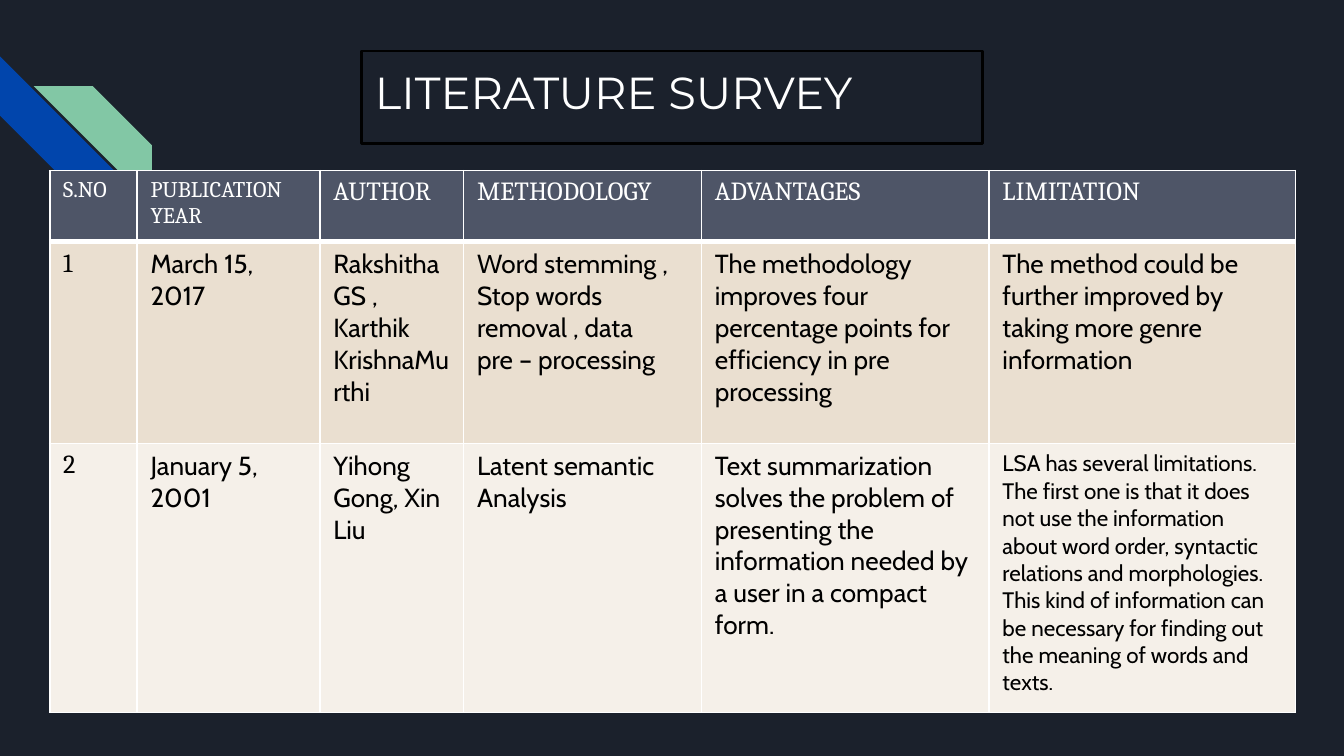
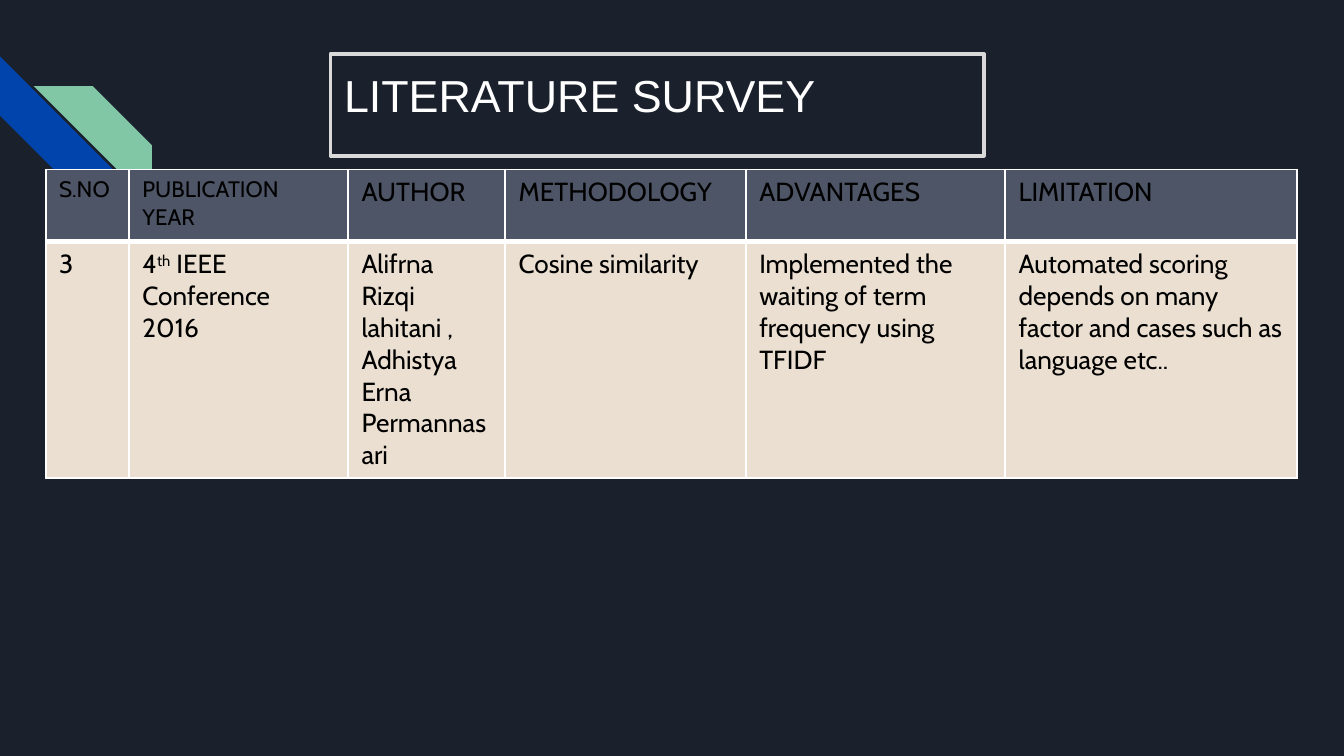
from lxml import etree
from pptx import Presentation, util as u
from pptx.dml.color import RGBColor
from pptx.enum import shapes, text
from pptx.oxml.ns import qn

# Content: "|" parts paragraphs, "^" encloses a superscript
HEADERS = ["S.NO", "PUBLICATION YEAR", "AUTHOR", "METHODOLOGY", "ADVANTAGES", "LIMITATION"]
SURVEYS = [
    dict(
        title="LITERATURE SURVEY", title_font="Montserrat", title_box=(2.69, 0.38, 4.62, 0.69),
        title_fill=None, title_line=("000000", 1.5),
        header_font="Cambria", header_color="FFFFFF", number_font="Cambria",
        origin=(0.37, 1.27), cols=(0.65, 1.36, 1.07, 1.77, 2.14, 2.28), heights=(0.53, 1.5, 2),
        rows=[
            ["1", "March 15,|2017", "Rakshitha GS , Karthik KrishnaMurthi",
             "Word stemming ,|Stop words removal , data|pre – processing",
             "The methodology improves four percentage points for efficiency in pre processing",
             "The method could be further improved by taking more genre information"],
            ["2", "January 5, 2001", "Yihong Gong, Xin Liu", "Latent semantic Analysis",
             "Text summarization solves the problem of presenting the information needed "
             "by a user in a compact form.",
             "LSA has several limitations. The first one is that it does not use the information "
             "about word order, syntactic relations and morphologies. This kind of information "
             "can be necessary for finding out the meaning of words and texts."],
        ],
    ),
    dict(
        title="LITERATURE SURVEY", title_font="Arial", title_box=(2.46, 0.4, 4.86, 0.76),
        title_fill="1B212C", title_line=("D9D9D9", 2),
        header_font="Cabin", header_color="000000", number_font="Cabin",
        origin=(0.34, 1.26), cols=(0.62, 1.63, 1.17, 1.79, 1.93, 2.17), heights=(0.54, 1.67),
        rows=[
            ["3", "4^th^ IEEE|Conference|2016",
             "Alifrna Rizqi lahitani ,|Adhistya Erna Permannasari", "Cosine similarity",
             "Implemented the waiting of term frequency using TFIDF",
             "Automated scoring depends on many factor and cases such as language etc.."],
        ],
    ),
]


class Theme:
    background, blue, green = "1B212C", "0145AC", "82C7A5"
    header, bands = "4E5567", ("EADFD0", "F5F0E9")
    white, ink = "FFFFFF", "000000"
    body_font = "Cabin"
    title_size, body_size, small_size = 24, 14, 12
    long_text = 150  # cells longer than this use the small size
    rule, header_rule = 1, 3


def rgb(value):
    return RGBColor.from_string(value)


def paint(fill, color):
    fill.solid()
    fill.fore_color.rgb = rgb(color)


def write(tf, content, font, size, color):
    for i, line in enumerate(content.split("|")):
        p = tf.paragraphs[0] if i == 0 else tf.add_paragraph()
        p.alignment = text.PP_ALIGN.LEFT
        for j, part in enumerate(line.split("^")):
            r = p.add_run()
            r.text = part
            r.font.name, r.font.size, r.font.bold = font, u.Pt(size), False
            r.font.color.rgb = rgb(color)
            if j % 2:
                r.font._element.set("baseline", "30000")


def add_corner(s):
    # Diagonal stripes in the top left corner
    for left, top, color, turn, flip in ((0, 0.42, Theme.blue, 270, False),
                                         (0.25, 0.64, Theme.green, 0, True)):
        sp = s.shapes.add_shape(shapes.MSO_SHAPE.DIAGONAL_STRIPE,
                                *map(u.Inches, (left, top, 0.88, 0.88)))
        sp.shadow.inherit = False
        sp.rotation = turn
        sp.line.fill.background()
        paint(sp.fill, color)
        if flip:
            sp._element.spPr.find(qn("a:xfrm")).set("flipH", "1")


def add_title(s, survey):
    sp = s.shapes.title
    sp.left, sp.top, sp.width, sp.height = map(u.Inches, survey["title_box"])
    if survey["title_fill"]:
        paint(sp.fill, survey["title_fill"])
    color, width = survey["title_line"]
    sp.line.color.rgb, sp.line.width = rgb(color), u.Pt(width)
    tf = sp.text_frame
    tf.word_wrap, tf.auto_size = True, text.MSO_AUTO_SIZE.NONE
    tf.vertical_anchor = text.MSO_ANCHOR.TOP
    tf.margin_left = tf.margin_right = tf.margin_top = tf.margin_bottom = u.Inches(0.1)
    write(tf, survey["title"], survey["title_font"], Theme.title_size, Theme.white)


def set_borders(cell, top, bottom):
    tc_pr = cell._tc.get_or_add_tcPr()
    for side, width in zip("LRTB", (Theme.rule, Theme.rule, top, bottom)):
        ln = etree.SubElement(tc_pr, qn("a:ln" + side), w=str(u.Pt(width)))
        solid = etree.SubElement(ln, qn("a:solidFill"))
        etree.SubElement(solid, qn("a:srgbClr"), val=Theme.white)


def add_survey_table(s, survey):
    rows = [HEADERS] + survey["rows"]
    cols, heights = survey["cols"], survey["heights"]
    box = (*survey["origin"], sum(cols), sum(heights))
    table = s.shapes.add_table(len(rows), len(cols), *map(u.Inches, box)).table
    for column, width in zip(table.columns, cols):
        column.width = u.Inches(width)
    for i, (row, height) in enumerate(zip(rows, heights)):
        table.rows[i].height = u.Inches(height)
        for j, content in enumerate(row):
            cell = table.cell(i, j)
            cell.margin_left = cell.margin_right = u.Inches(0.1)
            cell.margin_top = cell.margin_bottom = u.Inches(0.05)
            set_borders(cell, Theme.header_rule if i == 1 else Theme.rule,
                        Theme.header_rule if i == 0 else Theme.rule)
            if i == 0:
                fill, color, font = Theme.header, survey["header_color"], survey["header_font"]
                small = j < 2
            else:
                fill, color = Theme.bands[(i - 1) % 2], Theme.ink
                font = survey["number_font"] if j == 0 else Theme.body_font
                small = len(content) > Theme.long_text
            paint(cell.fill, fill)
            size = Theme.small_size if small else Theme.body_size
            write(cell.text_frame, content, font, size, color)


def main():
    prs = Presentation()
    # Widescreen, 16:9
    prs.slide_width = u.Inches(10)
    prs.slide_height = prs.slide_width * 9 // 16
    paint(prs.slide_master.background.fill, Theme.background)
    for survey in SURVEYS:
        s = prs.slides.add_slide(prs.slide_layouts[5])
        add_corner(s)
        add_title(s, survey)
        add_survey_table(s, survey)
    prs.save("out.pptx")


if __name__ == "__main__":
    main()
